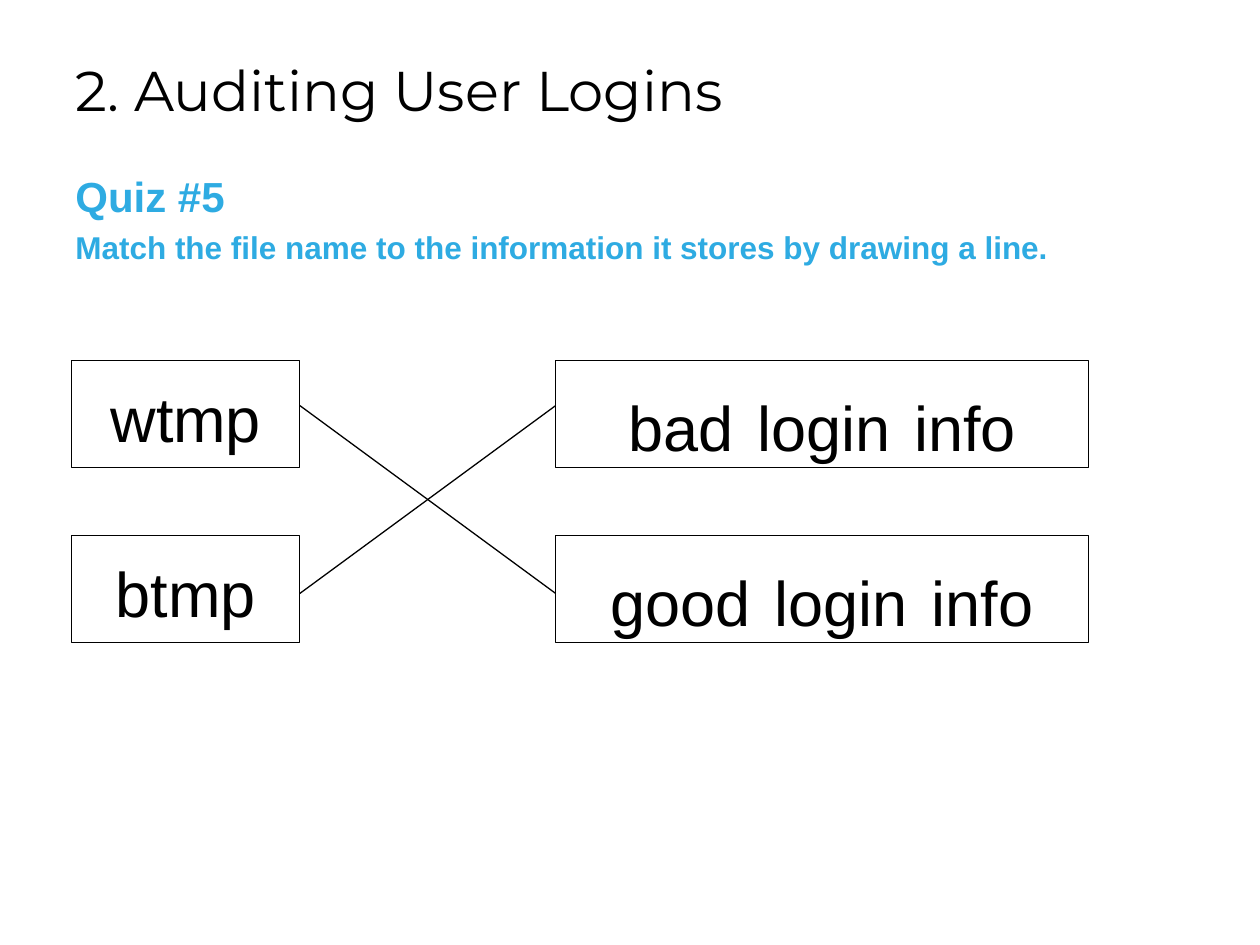
from lxml import etree
from pptx import Presentation
from pptx.dml.color import RGBColor
from pptx.enum.shapes import MSO_CONNECTOR, MSO_SHAPE
from pptx.enum.text import MSO_ANCHOR, PP_ALIGN
from pptx.oxml.ns import qn
from pptx.util import Pt

RECT, LINE = MSO_SHAPE.RECTANGLE, MSO_CONNECTOR.STRAIGHT
TOP, MID = MSO_ANCHOR.TOP, MSO_ANCHOR.MIDDLE
LEFT, MIDDLE = PP_ALIGN.LEFT, PP_ALIGN.CENTER
BLACK, BLUE = "000000", "2EABE2"

TITLE = "2. Auditing User Logins"
QUIZ = [("Quiz #5", 24), ("Match the file name to the information it stores by drawing a line.", 18)]
FILES = ["wtmp", "btmp"]
INFOS = ["bad login info", "good login info"]
MATCHES = [(1, 0), (0, 1)]  # file row, info row

WORD, GAP = 36, 49  # sizes of the words and of the wide spaces between them
FILE_X, FILE_W = 41, 130.4
INFO_X, INFO_W = 317.5, 304.5
ROWS, BOX_H = [206, 306], 61.2
ENDS = [231.8, 339.1]


def color(code):
    return RGBColor.from_string(code)


def put(frame, paras, font="Arial", fill=BLACK, bold=False, align=LEFT,
        anchor=TOP, after=0, inset=(7.2, 3.6, 7.2, 3.6), wrap=True):
    """Write paragraphs, each a list of (text, size) runs."""
    frame.word_wrap, frame.vertical_anchor = wrap, anchor
    (frame.margin_left, frame.margin_top,
     frame.margin_right, frame.margin_bottom) = map(Pt, inset)
    for i, runs in enumerate(paras):
        para = frame.paragraphs[0] if i == 0 else frame.add_paragraph()
        para.alignment, para.space_after = align, Pt(after)
        for text, size in runs:
            run = para.add_run()
            run.text = text
            run.font.name, run.font.size, run.font.bold = font, Pt(size), bold
            run.font.color.rgb = color(fill)


def label(text):
    """Split a label into words with larger spaces between them."""
    runs = []
    for word in text.split():
        if runs:
            runs.append((" ", GAP))
        runs.append((word, WORD))
    return runs


def box(slide, text, x, y, w):
    shape = slide.shapes.add_shape(RECT, Pt(x), Pt(y), Pt(w), Pt(BOX_H))
    shape.shadow.inherit = False
    shape.fill.background()
    shape.line.color.rgb, shape.line.width = color(BLACK), Pt(0.75)
    put(shape.text_frame, [label(text)], align=MIDDLE, anchor=MID,
        inset=(6.5, 6.5, 6.5, 2.9), wrap=False)


def link(slide, y1, y2):
    line = slide.shapes.add_connector(
        LINE, Pt(FILE_X + FILE_W), Pt(y1), Pt(INFO_X), Pt(y2))
    line.line.color.rgb, line.line.width = color(BLACK), Pt(0.75)
    etree.SubElement(line._element.spPr, qn("a:effectLst"))


def main():
    deck = Presentation()
    deck.slide_width, deck.slide_height = Pt(720), Pt(540)
    slide = deck.slides.add_slide(deck.slide_layouts[6])

    title = slide.shapes.add_textbox(Pt(36), Pt(28), Pt(649.5), Pt(46))
    put(title.text_frame, [[(TITLE, 32)]], font="Montserrat")

    for names, x, w in [(FILES, FILE_X, FILE_W), (INFOS, INFO_X, INFO_W)]:
        for name, y in zip(names, ROWS):
            box(slide, name, x, y, w)
    for a, b in MATCHES:
        link(slide, ENDS[a], ENDS[b])

    quiz = slide.shapes.add_textbox(Pt(36), Pt(93.6), Pt(649.5), Pt(63.4))
    put(quiz.text_frame, [[run] for run in QUIZ], fill=BLUE, bold=True, after=4.5)

    deck.save("out.pptx")


if __name__ == "__main__":
    main()
